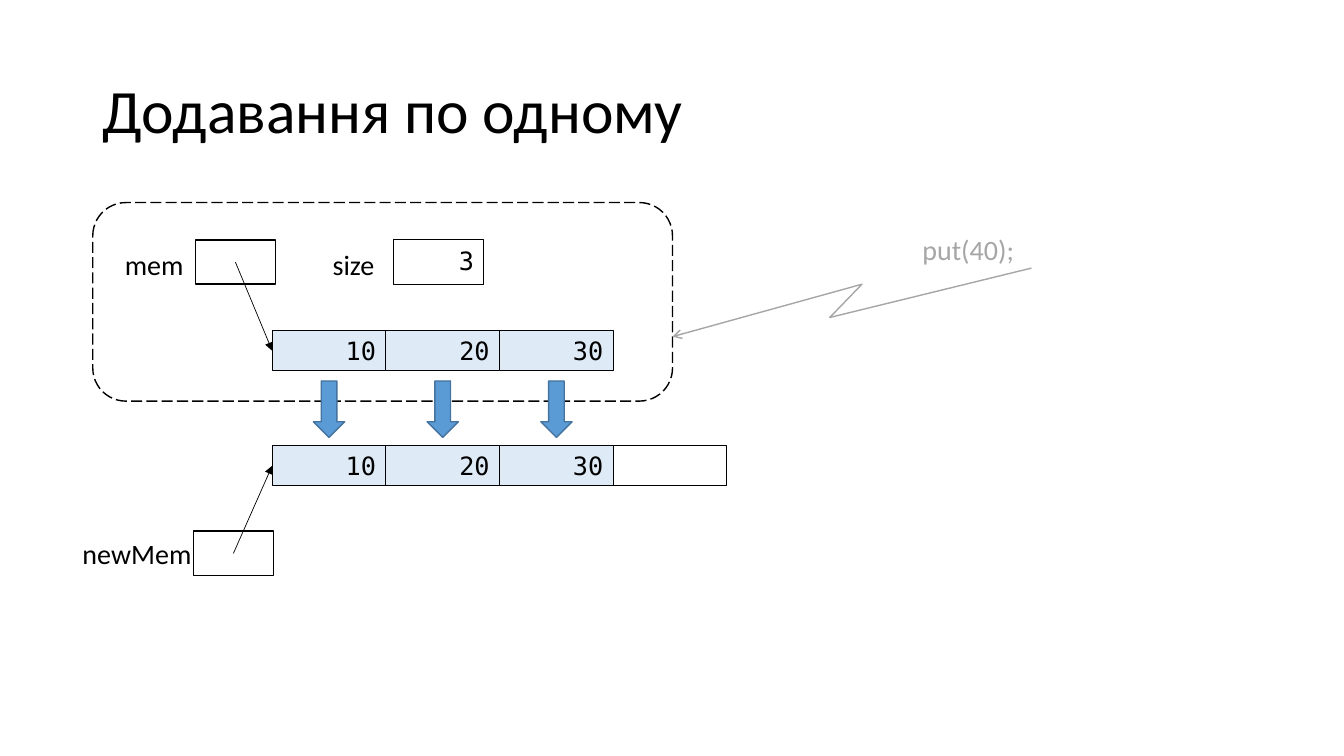
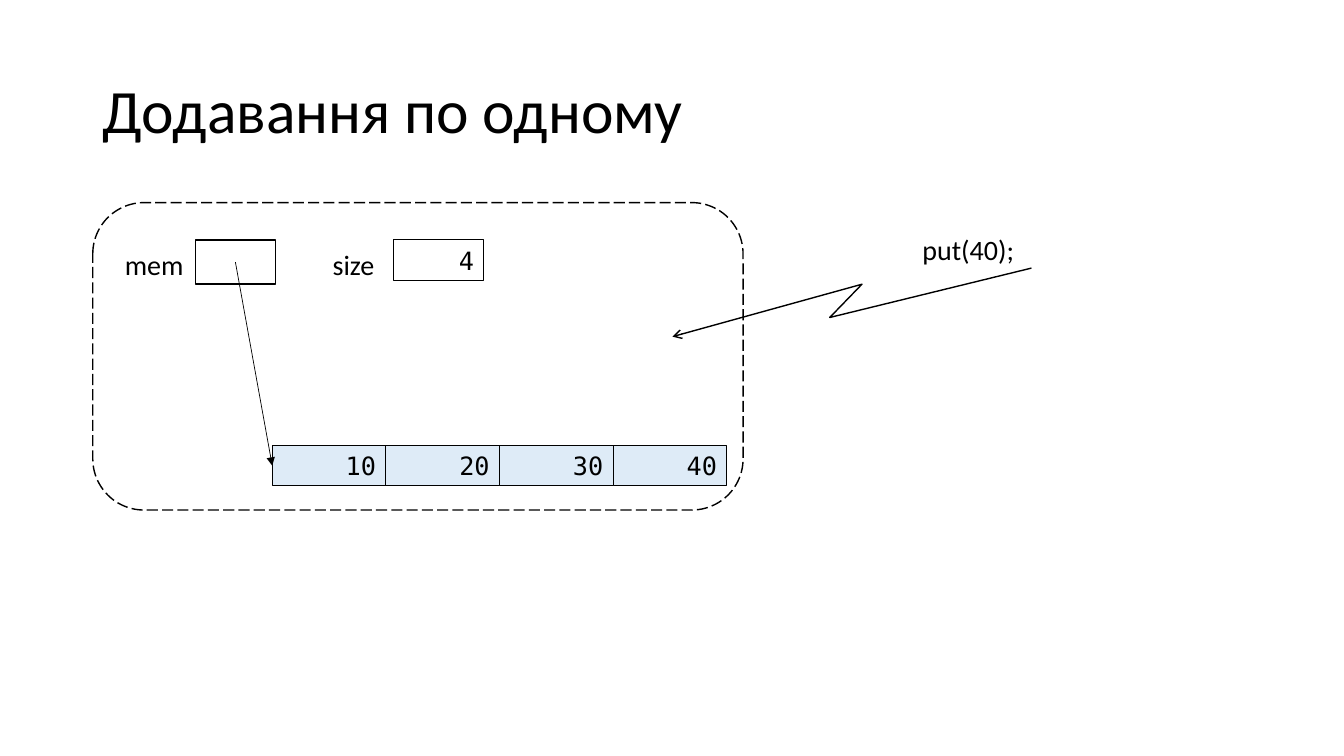
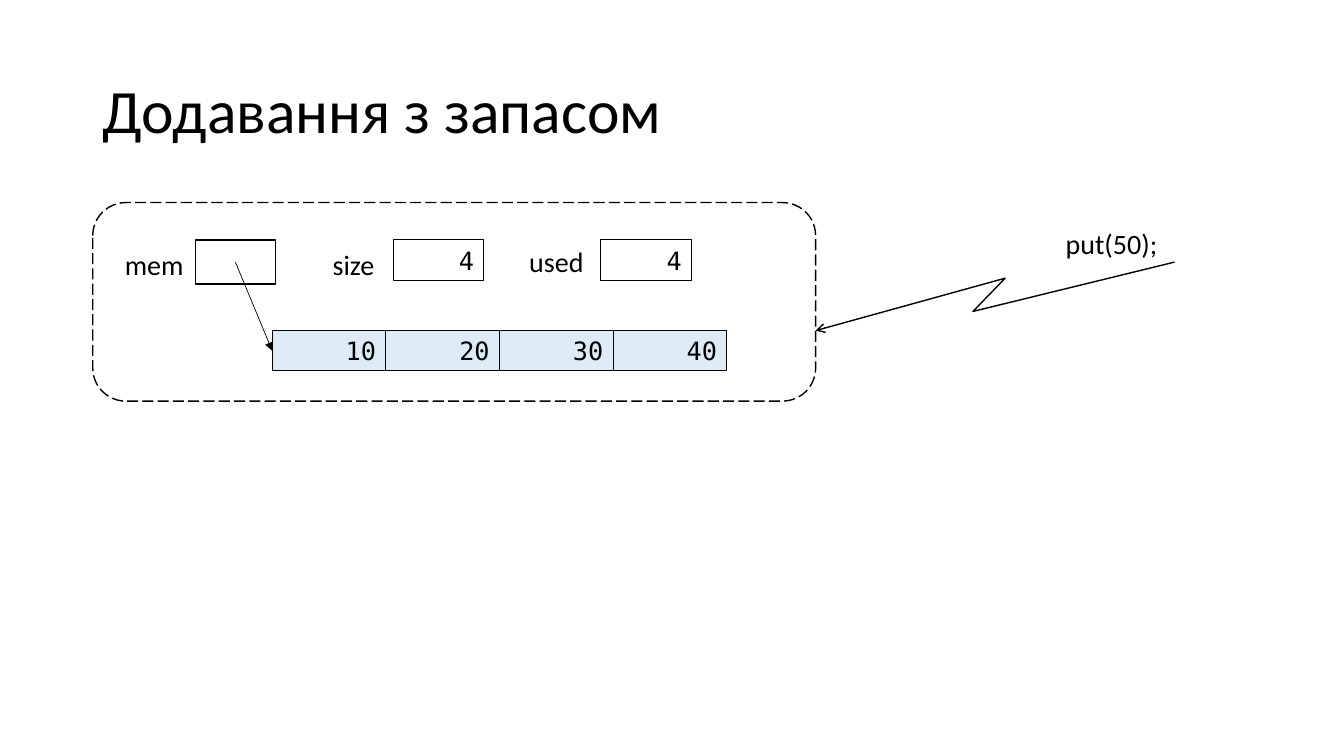
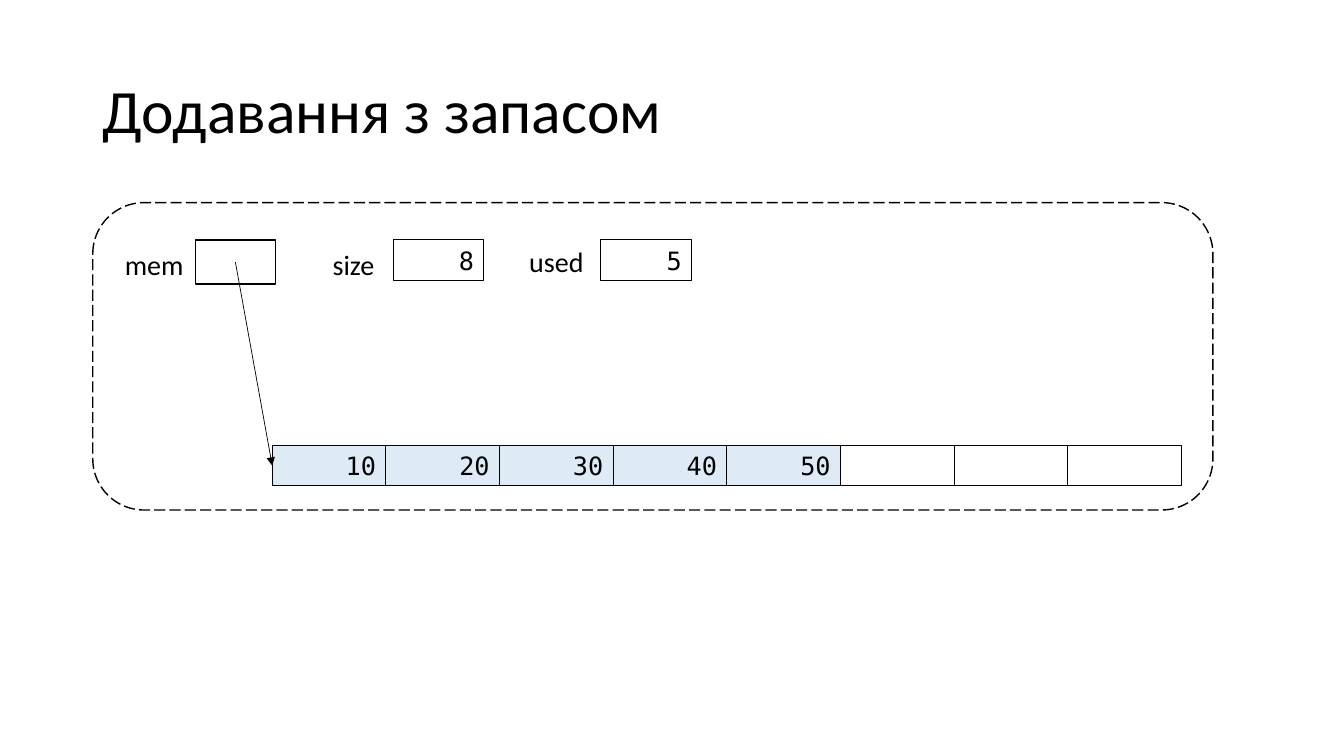
from lxml.etree import SubElement
from pptx import Presentation
from pptx.dml.color import RGBColor
from pptx.enum.dml import MSO_LINE
from pptx.enum.shapes import MSO_CONNECTOR, MSO_SHAPE
from pptx.enum.text import MSO_ANCHOR, PP_ALIGN
from pptx.oxml.ns import qn
from pptx.util import Inches, Pt

BLACK = RGBColor(0x00, 0x00, 0x00)
WHITE = RGBColor(0xFF, 0xFF, 0xFF)
GRAY = RGBColor(0xA6, 0xA6, 0xA6)
PALE_BLUE = RGBColor(0xDE, 0xEB, 0xF7)
BLUE = RGBColor(0x5B, 0x9B, 0xD5)
DARK_BLUE = RGBColor(0x43, 0x73, 0x9E)

RECTANGLE = MSO_SHAPE.RECTANGLE
ROUNDED = MSO_SHAPE.ROUNDED_RECTANGLE
DOWN_ARROW = MSO_SHAPE.DOWN_ARROW
STRAIGHT = MSO_CONNECTOR.STRAIGHT
LONG_DASH = MSO_LINE.LONG_DASH
TOP, MIDDLE = MSO_ANCHOR.TOP, MSO_ANCHOR.MIDDLE
LEFT, RIGHT = PP_ALIGN.LEFT, PP_ALIGN.RIGHT
LEFT_SIDE = 1

TEXT_FONT = "Calibri"
CODE_FONT = "DejaVu Sans Mono"

FRAME_LEFT, FRAME_TOP = 0.92, 2.01
CELL_WIDTH, CELL_HEIGHT = 9.02 / 8, 0.4
POINTER_WIDTH, POINTER_HEIGHT = 0.79, 0.44
ROW_LEFT = 2.7
OLD_ROW_TOP, NEW_ROW_TOP = 3.28, 4.42


def write(shape, text, font, size, color=BLACK, align=LEFT, anchor=TOP, wrap=True):
    frame = shape.text_frame
    frame.word_wrap = wrap
    frame.vertical_anchor = anchor
    frame.text = text
    para = frame.paragraphs[0]
    para.alignment = align
    for span in para.runs:
        span.font.name = font
        span.font.size = Pt(size)
        span.font.color.rgb = color
    return para


def add_label(page, text, left, top, width, height=0.44, size=20, **style):
    box = page.shapes.add_textbox(Inches(left), Inches(top), Inches(width), Inches(height))
    return write(box, text, TEXT_FONT, size, **style)


def add_box(page, kind, left, top, width, height, fill=None, line=BLACK, weight=1):
    box = page.shapes.add_shape(kind, Inches(left), Inches(top), Inches(width), Inches(height))
    box.shadow.inherit = False
    if fill is None:
        box.fill.background()
    else:
        box.fill.solid()
        box.fill.fore_color.rgb = fill
    box.line.color.rgb = line
    box.line.width = Pt(weight)
    return box


def add_arrowhead(shape, color, weight, head):
    shape.line.color.rgb = color
    shape.line.width = Pt(weight)
    outline = shape.element.spPr.find(qn("a:ln"))
    SubElement(outline, qn("a:tailEnd"), type=head)


def add_title(page, text):
    para = add_label(page, text, 0.92, 0.4, 11.5, 1.45, size=44, anchor=MIDDLE)
    para.line_spacing = 0.9


def add_value(page, text, left, top, width, height=CELL_HEIGHT, fill=None):
    box = add_box(page, RECTANGLE, left, top, width, height, fill, weight=0.75)
    if text:
        write(box, text, CODE_FONT, 18, align=RIGHT)
    return box


def add_row(page, top, values, capacity):
    cells = []
    for index in range(capacity):
        filled = index < len(values)
        cells.append(add_value(page, str(values[index]) if filled else "",
                               ROW_LEFT + index * CELL_WIDTH, top, CELL_WIDTH,
                               fill=PALE_BLUE if filled else None))
    return cells


def add_pointer(page, left, top, target):
    add_box(page, RECTANGLE, left, top, POINTER_WIDTH, POINTER_HEIGHT, WHITE)
    arrow = page.shapes.add_connector(
        STRAIGHT, Inches(left + POINTER_WIDTH / 2), Inches(top + POINTER_HEIGHT / 2),
        target.left, target.top + target.height // 2)
    arrow.end_connect(target, LEFT_SIDE)
    add_arrowhead(arrow, BLACK, 0.5, "triangle")
    SubElement(arrow.element.spPr, qn("a:effectLst"))


def add_vector(page, width, height, row_top, values, capacity, used=None, size_height=CELL_HEIGHT):
    left, top = FRAME_LEFT, FRAME_TOP
    frame = add_box(page, ROUNDED, left, top, width, height)
    frame.line.dash_style = LONG_DASH
    cells = add_row(page, row_top, values, capacity)
    add_label(page, "mem", left + 0.22, top + 0.4, 0.8)
    add_pointer(page, left + 1.02, top + 0.37, cells[0])
    add_label(page, "size", left + 2.28, top + 0.4, 0.65)
    add_value(page, str(capacity), left + 2.98, top + 0.37, 0.9, size_height)
    if used is not None:
        add_label(page, "used", left + 4.23, top + 0.37, 0.78)
        add_value(page, str(used), left + 5.04, top + 0.37, 0.9, fill=WHITE)


def add_call(page, text, left, top, color=BLACK):
    bends = [(3.56, -0.68), (1.56, -0.19), (1.88, -0.52), (0, 0)]
    points = [(Inches(left + across), Inches(top + down)) for across, down in bends]
    builder = page.shapes.build_freeform(*points[0])
    builder.add_line_segments(points[1:], close=False)
    bolt = builder.convert_to_shape()
    bolt.shadow.inherit = False
    bolt.fill.background()
    add_arrowhead(bolt, color, 1, "arrow")
    add_label(page, text, left + 2.38, top - 1.08, 1.12, color=color, wrap=False)


def add_copying(page, values, capacity):
    cells = add_row(page, NEW_ROW_TOP, values, capacity)
    add_label(page, "newMem", 0.72, 5.27, 1.36)
    add_pointer(page, 1.92, 5.27, cells[0])
    width = 0.31
    for index in range(len(values)):
        center = ROW_LEFT + (index + 0.5) * CELL_WIDTH
        add_box(page, DOWN_ARROW, center - width / 2, 3.78, width, 0.56, BLUE, DARK_BLUE)


def main():
    deck = Presentation()
    deck.slide_width, deck.slide_height = Inches(13.33), Inches(7.5)
    blank = deck.slide_layouts[6]
    one_by_one, with_reserve = "Додавання по одному", "Додавання з запасом"
    titles = [one_by_one, one_by_one, with_reserve, with_reserve]
    pages = []
    for title in titles:
        page = deck.slides.add_slide(blank)
        add_title(page, title)
        pages.append(page)
    copying, appended, full, extended = pages

    values = [10, 20, 30, 40, 50]
    add_vector(copying, 5.75, 1.97, OLD_ROW_TOP, values[:3], 3, size_height=0.44)
    add_call(copying, "put(40);", 6.67, 3.34, GRAY)
    add_copying(copying, values[:3], 4)

    add_vector(appended, 6.45, 3.05, NEW_ROW_TOP, values[:4], 4)
    add_call(appended, "put(40);", 6.67, 3.34)

    add_vector(full, 7.17, 1.97, OLD_ROW_TOP, values[:4], 4, used=4)
    add_call(full, "put(50);", 8.09, 3.28)

    add_vector(extended, 11.11, 3.05, NEW_ROW_TOP, values, 8, used=5)
    deck.save("out.pptx")


if __name__ == "__main__":
    main()
